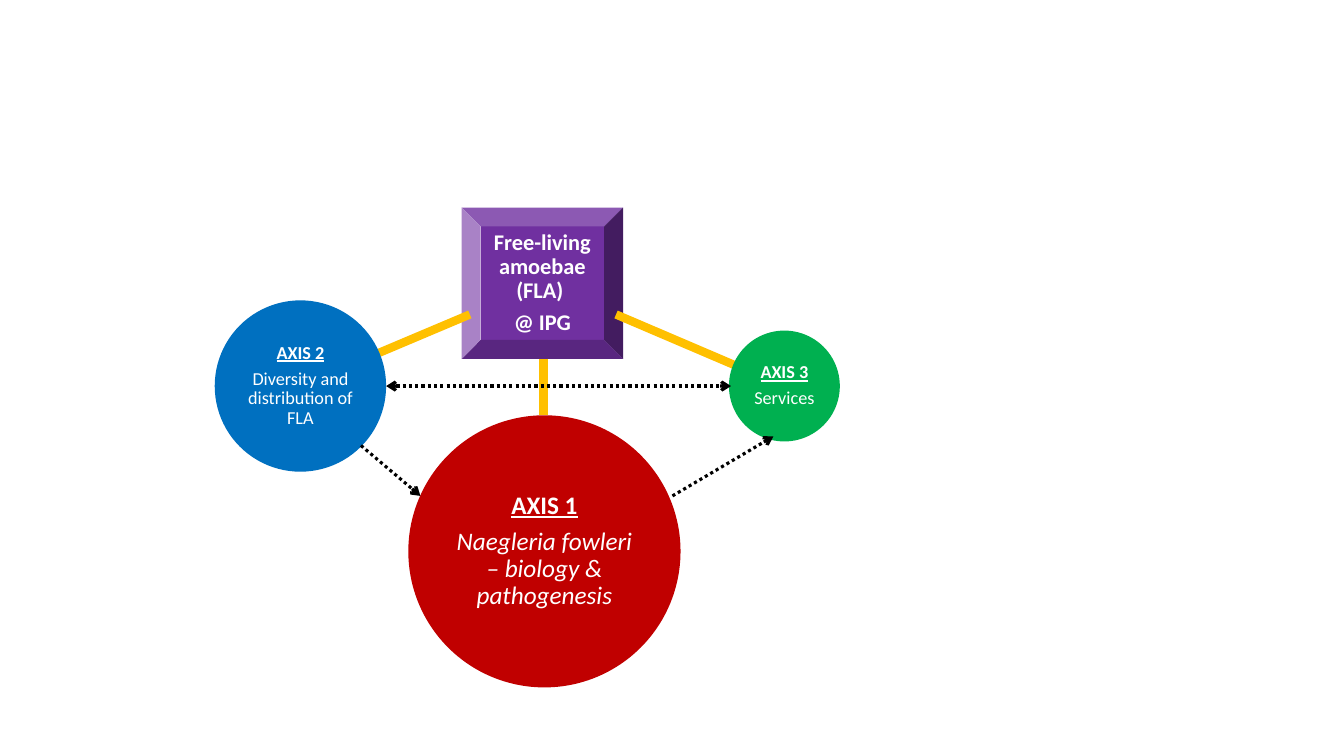
from pptx import Presentation, util as u
from pptx.dml.color import RGBColor
from pptx.enum import dml, shapes, text
from pptx.oxml.ns import qn
from lxml import etree

PURPLE = RGBColor(0x70, 0x30, 0xA0)
BLUE = RGBColor(0x00, 0x70, 0xC0)
GREEN = RGBColor(0x00, 0xB0, 0x50)
RED = RGBColor(0xC0, 0x00, 0x00)
GOLD = RGBColor(0xFF, 0xC0, 0x00)
BLACK = RGBColor(0x00, 0x00, 0x00)
WHITE = RGBColor(0xFF, 0xFF, 0xFF)
FONT = "Calibri"
RECT, OVAL = shapes.MSO_SHAPE.BEVEL, shapes.MSO_SHAPE.OVAL

# Diagram frame and the places inside it, in inches
DIAGRAM = (2.13, 2.06)
HUB = (2.45, 0, 1.6, 1.5)
AXES = [  # left, top, diameter, colour, text size, heading, topic, italic
    (0, 0.92, 1.7, BLUE, 13, "AXIS 2", "Diversity and distribution of FLA", False),
    (5.1, 1.22, 1.1, GREEN, 13, "AXIS 3", "Services", False),
    (1.92, 2.06, 2.7, RED, 18, "AXIS 1", "Naegleria fowleri – biology & pathogenesis", True),
]
SPOKES = [(2.53, 1.06, 1.63, 1.44), (3.98, 1.06, 5.15, 1.56), (3.26, 1.5, 3.26, 2.06)]
LINKS = [  # x1, y1, x2, y2, arrow at both ends
    (1.45, 2.36, 2.04, 2.86, False),
    (1.7, 1.77, 5.12, 1.77, True),
    (4.54, 2.86, 5.54, 2.27, False),
]


def add_node(slide, kind, left, top, width, height, fill, size, lines):
    """Filled shape with centred lines of (text, bold, underline, italic)."""
    sp = slide.shapes.add_shape(kind, *map(u.Inches, (left, top, width, height)))
    sp.shadow.inherit = False
    sp.fill.solid()
    sp.fill.fore_color.rgb = fill
    sp.line.fill.background()
    tf = sp.text_frame
    tf.word_wrap = True
    tf.vertical_anchor = text.MSO_ANCHOR.MIDDLE
    tf.margin_left = tf.margin_right = tf.margin_top = tf.margin_bottom = u.Inches(0.01)
    for i, (words, bold, underline, italic) in enumerate(lines):
        p = tf.add_paragraph() if i else tf.paragraphs[0]
        p.text = words
        p.alignment = text.PP_ALIGN.CENTER
        p.line_spacing = 0.9
        p.space_after = u.Pt(round(0.35 * size, 1))
        f = p.font
        f.name, f.size, f.color.rgb = FONT, u.Pt(size), WHITE
        f.bold, f.underline, f.italic = bold, underline, italic


def add_line(slide, origin, ends, color, width):
    x, y = origin
    x1, y1, x2, y2 = ends
    line = slide.shapes.add_connector(
        shapes.MSO_CONNECTOR.STRAIGHT, *map(u.Inches, (x + x1, y + y1, x + x2, y + y2)))
    line.line.color.rgb = color
    line.line.width = u.Pt(width)
    etree.SubElement(line._element.spPr, qn("a:effectLst"))
    return line


def add_link(slide, origin, ends, both):
    """Dotted arrow between two axes."""
    line = add_line(slide, origin, ends, BLACK, 2.25).line
    line.dash_style = dml.MSO_LINE.ROUND_DOT
    for tag in ("a:headEnd", "a:tailEnd") if both else ("a:tailEnd",):
        etree.SubElement(line._get_or_add_ln(), qn(tag), type="arrow")


def add_diagram(slide, origin):
    x, y = origin
    # Central theme
    left, top, width, height = HUB
    add_node(slide, RECT, x + left, y + top, width, height, PURPLE, 16,
             [("Free-living amoebae (FLA) ", True, False, False),
              ("@ IPG", True, False, False)])
    # Spokes run over the hub and under the circles
    for ends in SPOKES:
        add_line(slide, origin, ends, GOLD, 6)
    # Research axes
    for left, top, d, fill, size, heading, topic, italic in AXES:
        add_node(slide, OVAL, x + left, y + top, d, d, fill, size,
                 [(heading, True, True, False), (topic, False, False, italic)])
    # Links between the axes
    for *ends, both in LINKS:
        add_link(slide, origin, ends, both)


def main():
    prs = Presentation()
    prs.slide_width, prs.slide_height = u.Inches(13.33), u.Inches(7.5)
    slide = prs.slides.add_slide(prs.slide_layouts[6])
    add_diagram(slide, DIAGRAM)
    prs.save("out.pptx")


if __name__ == "__main__":
    main()
